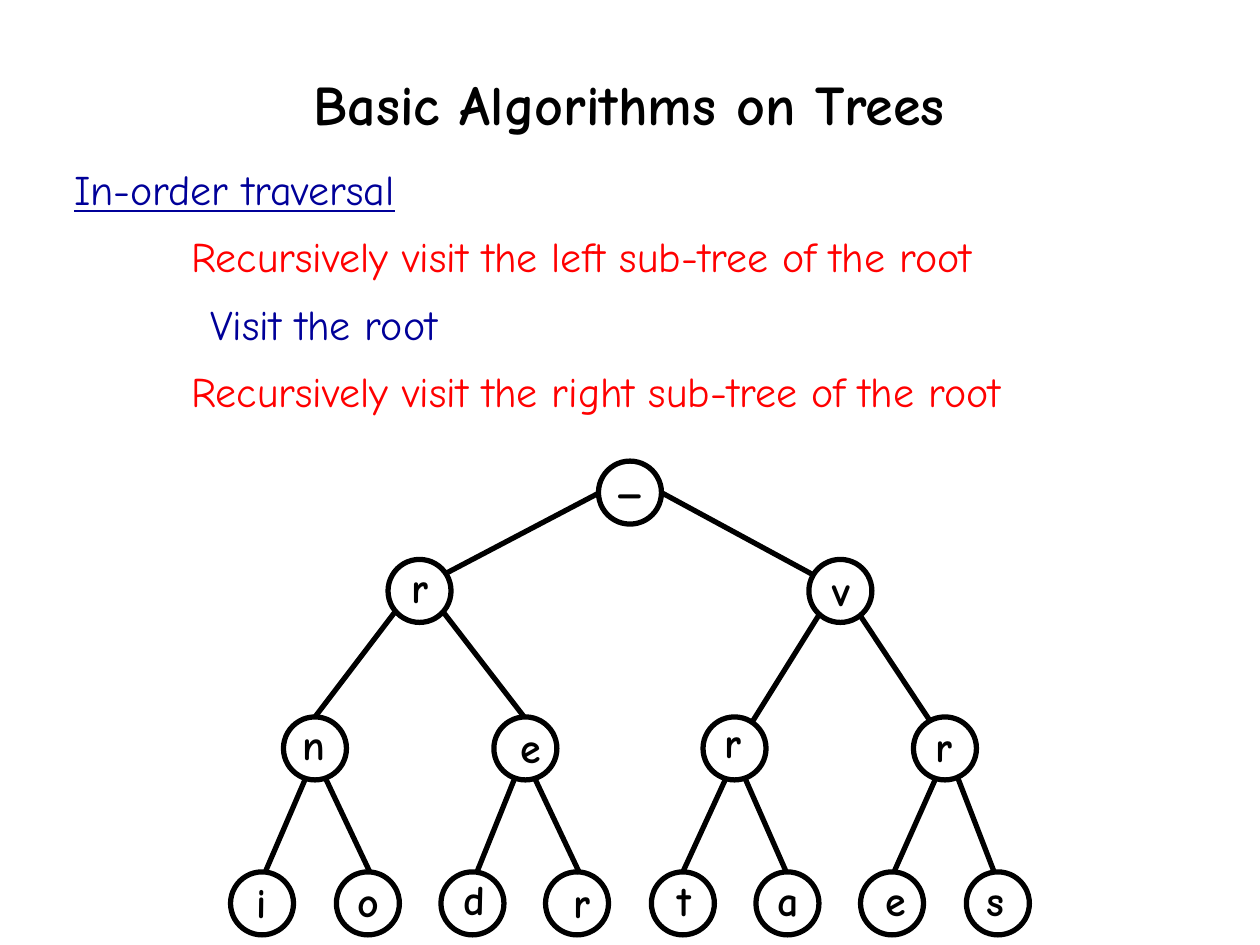
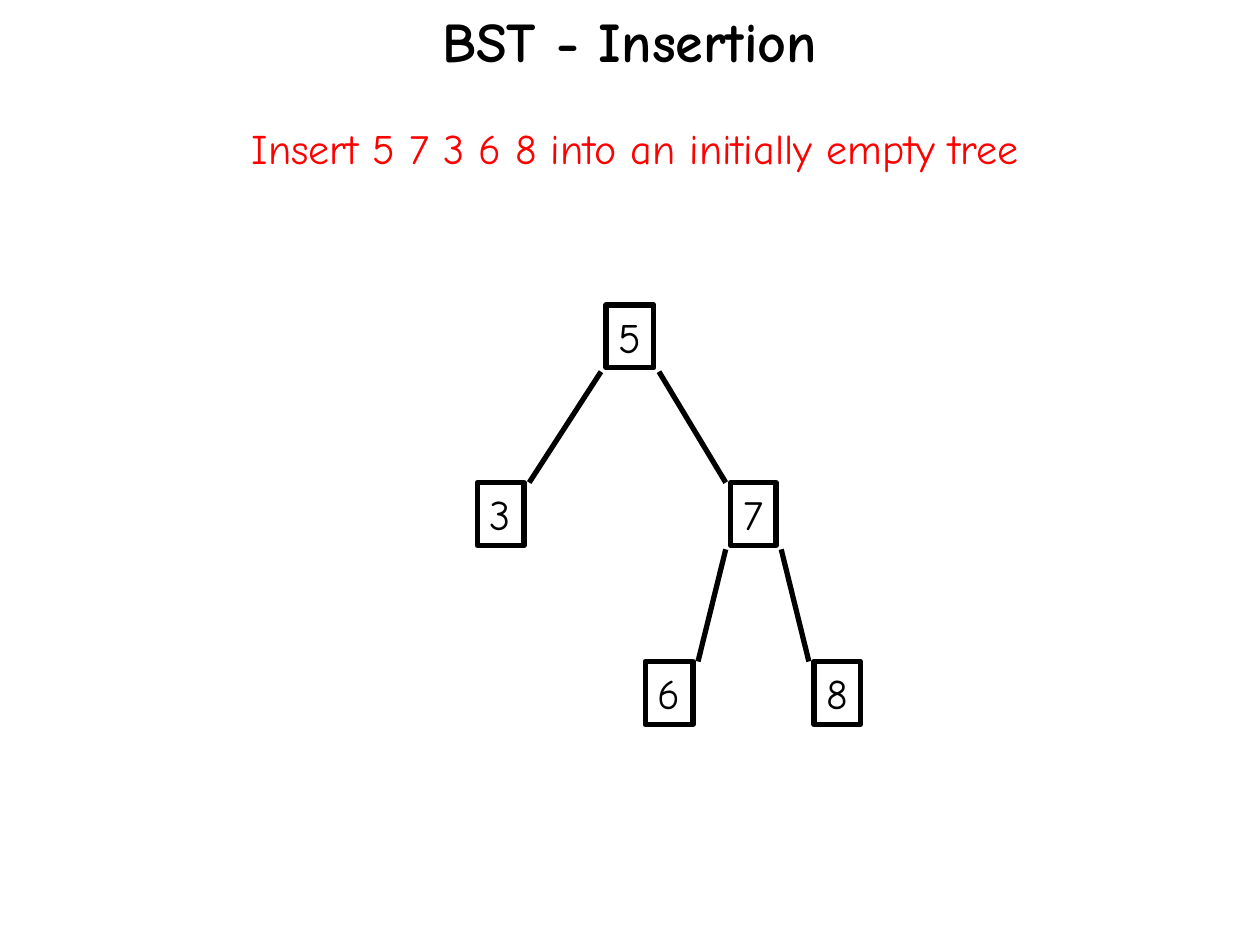
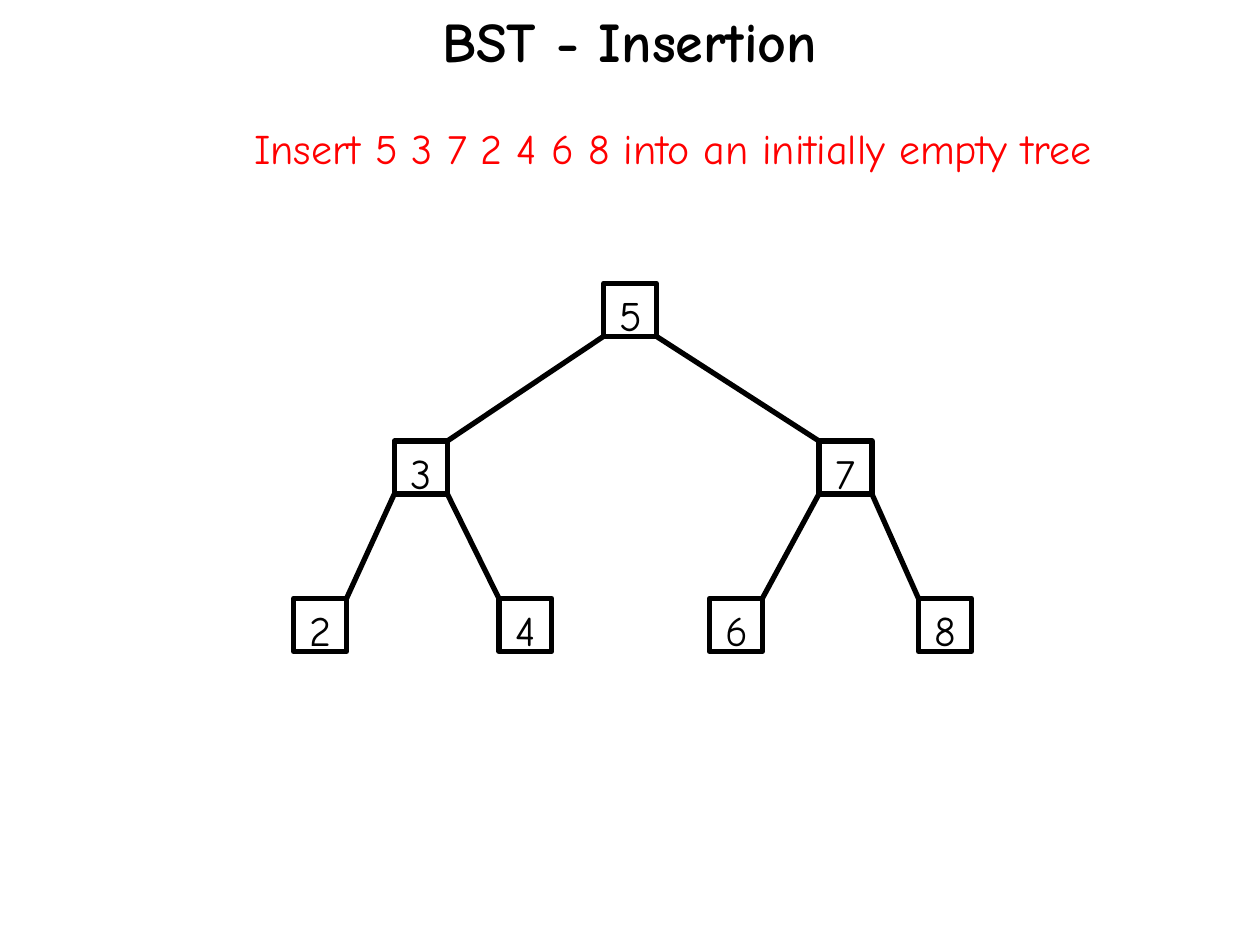
from dataclasses import dataclass

from lxml.etree import SubElement
from pptx import Presentation
from pptx.dml.color import RGBColor as RGB
from pptx.enum.shapes import MSO_CONNECTOR as CONN, MSO_SHAPE as SHAPE
from pptx.enum.text import MSO_ANCHOR as ANCHOR, MSO_AUTO_SIZE as AUTO, PP_ALIGN as ALIGN
from pptx.oxml.ns import qn
from pptx.util import Emu, Pt

SCALE = 9144


@dataclass(frozen=True)
class Theme:
    font: str = "Comic Neue"
    black: RGB = RGB(0, 0, 0)
    white: RGB = RGB(255, 255, 255)
    red: RGB = RGB(255, 0, 0)
    navy: RGB = RGB(0, 0, 153)
    title: int = 32
    body: int = 24
    line: int = 3


def px(*values):
    return [Emu(round(v) * SCALE) for v in values]


def write(tf, text, *, theme, color=None, size=None, bold=False, underline=False, wrap=False):
    tf.word_wrap = wrap
    tf.auto_size = AUTO.SHAPE_TO_FIT_TEXT
    tf.vertical_anchor = ANCHOR.TOP
    p = tf.paragraphs[0]
    p.alignment = ALIGN.LEFT
    r = p.add_run()
    r.text = text
    f = r.font
    f.name = theme.font
    f.size = Pt(size or theme.body)
    f.bold = bold
    f.underline = underline
    f.color.rgb = color or theme.black


class Deck:
    def __init__(self, theme):
        self.theme = theme
        self.prs = Presentation()
        self.prs.slide_width, self.prs.slide_height = px(1000, 750)
        self.s = None

    def slide(self):
        self.s = self.prs.slides.add_slide(self.prs.slide_layouts[6])

    def text(self, text, x, y, w, h=50, **fmt):
        sp = self.s.shapes.add_textbox(*px(x, y, w, h))
        write(sp.text_frame, text, theme=self.theme, **fmt)

    def title(self, text, y, w):
        self.text(text, 500 - w / 2, y, w, 64, size=self.theme.title, bold=True)

    def node(self, kind, x, y, w, h, text=None, fill=None):
        sp = self.s.shapes.add_shape(kind, *px(x, y, w, h))
        sp.shadow.inherit = False
        if fill is None:
            sp.fill.background()
        else:
            sp.fill.solid()
            sp.fill.fore_color.rgb = fill
        sp.line.color.rgb = self.theme.black
        sp.line.width = Pt(self.theme.line)
        if text:
            write(sp.text_frame, text, theme=self.theme)

    def edge(self, x1, y1, x2, y2):
        sp = self.s.shapes.add_connector(CONN.STRAIGHT, *px(x1, y1, x2, y2))
        sp.line.color.rgb = self.theme.black
        sp.line.width = Pt(self.theme.line)
        SubElement(sp._element.spPr, qn("a:effectLst"))

    def branch(self, parent, child, gap_x=0, gap_y=0):
        x, y, w, h = parent
        cx, cy, cw, _ = child
        if cx < x:
            self.edge(x - gap_x, y + h + gap_y, cx + cw + gap_x, cy)
        else:
            self.edge(x + w + gap_x, y + h + gap_y, cx - gap_x, cy)


TRAVERSAL_TOPS = [366, 444, 569, 692]
TRAVERSAL_LABELS = [
    [("_", 482, 356, 37)],
    [("r", 317, 441, 33), ("v", 651, 443, 34)],
    [("n", 230, 565, 38), ("e", 403, 568, 36), ("r", 565, 564, 33), ("r", 733, 567, 33)],
    [("i", 194, 691, 28), ("o", 274, 690, 37), ("d", 358, 688, 37), ("r", 445, 691, 33),
     ("t", 528, 689, 31), ("a", 607, 689, 37), ("e", 693, 689, 36), ("s", 773, 689, 34)],
]
TRAVERSAL_EDGES = [
    (474, 392, 354, 455), (525, 391, 645, 456),
    (314, 485, 250, 569), (352, 486, 416, 569), (650, 488, 597, 573), (683, 489, 738, 572),
    (242, 619, 211, 691), (258, 617, 293, 691), (408, 619, 379, 691), (425, 619, 460, 693),
    (576, 618, 542, 692), (591, 617, 624, 692), (743, 617, 710, 691), (760, 617, 789, 692),
]


def traversal_slide(deck):
    t = deck.theme
    deck.slide()
    deck.title("Basic Algorithms on Trees", 50, 522)
    deck.text("In-order traversal", 49, 125, 276, color=t.navy, underline=True)
    for side, y in (("left", 178), ("right", 285)):
        deck.text(f"Recursively visit the {side} sub-tree of the root", 142, y, 775,
                  color=t.red, wrap=True)
    deck.text("Visit the root", 157, 232, 201, color=t.navy)
    for edge in TRAVERSAL_EDGES:
        deck.edge(*edge)
    size, span = 50, 2000 / 3
    for top, labels in zip(TRAVERSAL_TOPS, TRAVERSAL_LABELS):
        step = span / len(labels)
        for i, (label, x, y, w) in enumerate(labels):
            center = 500 - span / 2 + step * (i + 0.5)
            deck.node(SHAPE.OVAL, center - size / 2, top, size, size)
            deck.text(label, x, y, w, bold=True)


def insertion_heading(deck, keys, x, w):
    deck.slide()
    deck.title("BST - Insertion", 0, 318)
    deck.text(f"Insert {keys} into an initially empty tree", x, 92, w, color=deck.theme.red)


def small_tree_slide(deck):
    insertion_heading(deck, "5 7 3 6 8", 190, 631)
    boxes = {"5": (481, 242, 38, 50), "3": (379, 383, 37, 50), "7": (580, 383, 36, 50),
             "6": (512, 525, 38, 50), "8": (646, 525, 37, 50)}
    for parent, child in ("53", "57", "76", "78"):
        deck.branch(boxes[parent], boxes[child], 4, 3)
    for key, box in boxes.items():
        deck.node(SHAPE.RECTANGLE, *box, text=key)


def full_tree_slide(deck):
    insertion_heading(deck, "5 3 7 2 4 6 8", 192, 686)
    size = 42
    corners = {"5": (479, 225), "3": (313, 350), "7": (650, 350), "2": (233, 475),
               "4": (396, 475), "6": (563, 475), "8": (729, 475)}
    boxes = {key: (x, y, size, size) for key, (x, y) in corners.items()}
    for parent, child in ("53", "57", "32", "34", "76", "78"):
        deck.branch(boxes[parent], boxes[child])
    for key, (x, y, w, h) in boxes.items():
        deck.node(SHAPE.RECTANGLE, x, y, w, h, fill=deck.theme.white)
        deck.text(key, x + 3, y, 37)


def main():
    deck = Deck(Theme())
    traversal_slide(deck)
    small_tree_slide(deck)
    full_tree_slide(deck)
    deck.prs.save("out.pptx")


if __name__ == "__main__":
    main()
